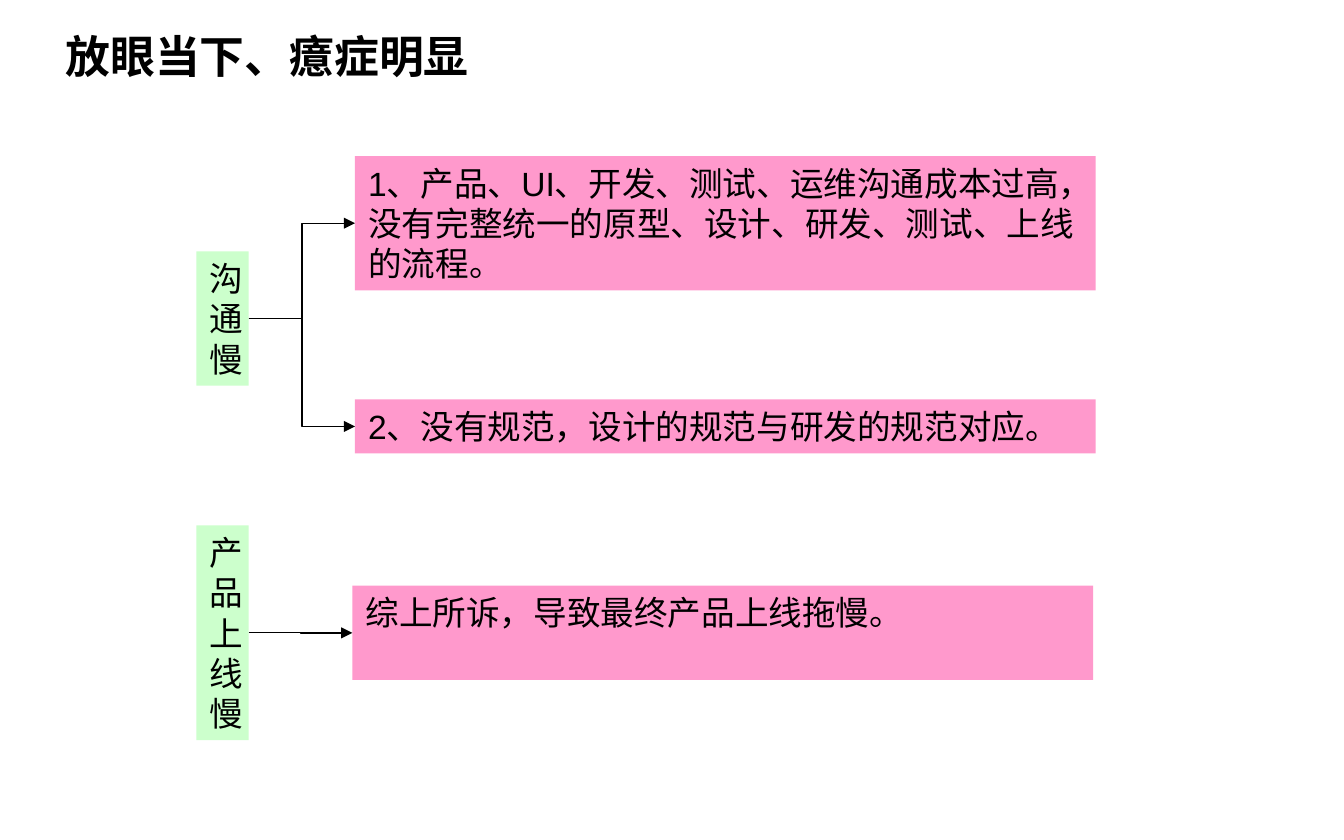
from lxml.etree import SubElement
from pptx import Presentation
from pptx.dml.color import RGBColor
from pptx.enum.shapes import MSO_CONNECTOR, MSO_SHAPE
from pptx.enum.text import MSO_ANCHOR, PP_ALIGN
from pptx.oxml.ns import qn
from pptx.util import Cm, Pt

BLACK, PINK, GREEN = "000000", "FF99CC", "CCFFCC"
CAUSE_WIDTH, EFFECT_WIDTH = 0.99, 14


def color(value):
    """Turn a hex string into a colour."""
    return RGBColor.from_string(value)


def write(shape, text, size, font, bold=False, wrap=True):
    """Write one left-aligned run at the top of a shape."""
    frame = shape.text_frame
    frame.word_wrap = wrap
    frame.vertical_anchor = MSO_ANCHOR.TOP
    paragraph = frame.paragraphs[0]
    paragraph.alignment = PP_ALIGN.LEFT
    run = paragraph.add_run()
    run.text = text
    run.font.size = Pt(size)
    run.font.name = font
    run.font.bold = bold
    run.font.color.rgb = color(BLACK)


def add_title(slide, left, top, width, height, text):
    """Place the slide heading in its box."""
    shape = slide.shapes.add_textbox(Cm(left), Cm(top), Cm(width), Cm(height))
    write(shape, text, 24, "Calibri", bold=True, wrap=False)


def add_panel(slide, left, top, width, height, fill, text):
    """Place a filled rectangle with text."""
    shape = slide.shapes.add_shape(
        MSO_SHAPE.RECTANGLE, Cm(left), Cm(top), Cm(width), Cm(height))
    shape.shadow.inherit = False
    shape.fill.solid()
    shape.fill.fore_color.rgb = color(fill)
    shape.line.fill.background()
    write(shape, text, 18, "Arial")
    return shape


def add_arrow(slide, cause, effect):
    """Join the right side of a cause to the left side of an effect."""
    connector = slide.shapes.add_connector(MSO_CONNECTOR.ELBOW, 0, 0, 0, 0)
    connector.begin_connect(cause, 3)
    connector.end_connect(effect, 1)
    connector.line.color.rgb = color(BLACK)
    connector.line.width = Pt(0.75)
    properties = connector._element.spPr
    SubElement(properties.find(qn("a:ln")), qn("a:tailEnd"), type="triangle")
    SubElement(properties, qn("a:effectLst"))


def add_symptom(slide, left, top, width, cause, effects):
    """Place a cause at the left of the box and its effects at the right."""
    offset, height, text = cause
    cause_panel = add_panel(
        slide, left, top + offset, CAUSE_WIDTH, height, GREEN, text)
    for offset, height, text in effects:
        effect_panel = add_panel(
            slide, left + width - EFFECT_WIDTH, top + offset,
            EFFECT_WIDTH, height, PINK, text)
        add_arrow(slide, cause_panel, effect_panel)


def main():
    """Build and save the slide."""
    presentation = Presentation()
    presentation.slide_width = Cm(25.4)
    presentation.slide_height = Cm(15.875)
    slide = presentation.slides.add_slide(presentation.slide_layouts[6])
    add_title(slide, 0.99, 0.41, 8.26, 1.3, "放眼当下、癔症明显")
    add_symptom(slide, 3.71, 2.95, 17, (1.8, 2.54, "沟通慢"), [
        (0, 2.54, "1、产品、UI、开发、测试、运维沟通成本过高，"
                  "没有完整统一的原型、设计、研发、测试、上线的流程。"),
        (4.6, 1.02, "2、没有规范，设计的规范与研发的规范对应。"),
    ])
    add_symptom(slide, 3.71, 9.93, 16.95, (0, 4.06, "产品上线慢"), [
        (1.14, 1.78, "综上所诉，导致最终产品上线拖慢。"),
    ])
    presentation.save("out.pptx")


if __name__ == "__main__":
    main()
